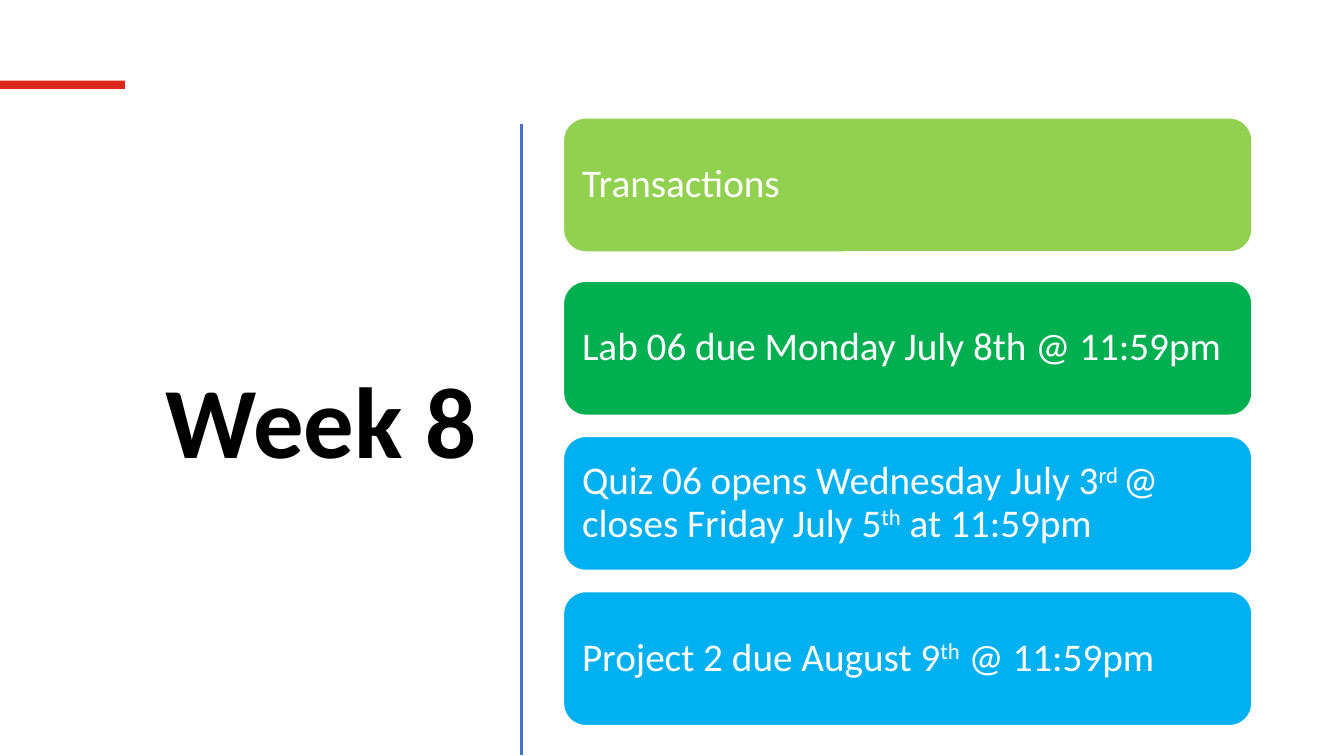
from dataclasses import dataclass

from lxml import etree
from pptx import Presentation
from pptx.dml.color import RGBColor
from pptx.enum import shapes, text
from pptx.oxml import ns
from pptx.util import Pt


@dataclass(frozen=True)
class Theme:
    font: str = "Calibri"
    title_size: int = 72
    item_size: int = 28
    ink: str = "000000"
    white: str = "FFFFFF"
    accent: str = "DA291C"
    divider: str = "4472C4"
    lime: str = "92D050"
    green: str = "00B050"
    blue: str = "00B0F0"


@dataclass(frozen=True)
class Box:
    left: float
    top: float
    width: float
    height: float

    def lengths(self):
        return [Pt(value) for value in (self.left, self.top, self.width, self.height)]


THEME = Theme()
AGENDA = [
    (THEME.lime, ["Transactions"]),
    (THEME.green, ["Lab 06 due Monday July 8th @ 11:59pm"]),
    (THEME.blue, ["Quiz 06 opens Wednesday July 3", "rd ", "@ closes Friday July 5", "th", " at 11:59pm"]),
    (THEME.blue, ["Project 2 due August 9", "th", " @ 11:59pm"]),
]
CARD_HEIGHT = 95.76
CARD_PITCH = 110.85
FIRST_CARD_LIFT = 5.8


def style_span(span, size, color, bold=False):
    span.font.name = THEME.font
    span.font.size = Pt(size)
    span.font.bold = bold
    span.font.color.rgb = RGBColor.from_string(color)


def add_panel(page, kind, box, fill):
    panel = page.shapes.add_shape(kind, *box.lengths())
    panel.shadow.inherit = False
    panel.fill.solid()
    panel.fill.fore_color.rgb = RGBColor.from_string(fill)
    panel.line.fill.background()
    return panel


def add_title(page, box, wording):
    frame = page.shapes.add_textbox(*box.lengths()).text_frame
    frame.word_wrap = True
    frame.vertical_anchor = text.MSO_ANCHOR.MIDDLE
    para = frame.paragraphs[0]
    para.text = wording
    para.alignment = text.PP_ALIGN.RIGHT
    para.line_spacing = 0.9
    para.space_after = Pt(6)
    style_span(para.runs[0], THEME.title_size, THEME.ink, bold=True)


def add_divider(page, box):
    line = page.shapes.add_connector(
        shapes.MSO_CONNECTOR.STRAIGHT,
        Pt(box.left), Pt(box.top), Pt(box.left + box.width), Pt(box.top + box.height),
    )
    line.line.color.rgb = RGBColor.from_string(THEME.divider)
    line.line.width = Pt(2)
    etree.SubElement(line._element.spPr, ns.qn("a:effectLst"))


def add_card(page, box, fill, pieces):
    card = add_panel(page, shapes.MSO_SHAPE.ROUNDED_RECTANGLE, box, fill)
    card.line.color.rgb = RGBColor.from_string(THEME.white)
    card.line.width = Pt(1)
    frame = card.text_frame
    frame.word_wrap = True
    frame.vertical_anchor = text.MSO_ANCHOR.MIDDLE
    frame.margin_left = frame.margin_right = Pt(8.64)
    frame.margin_top = frame.margin_bottom = Pt(8.64)
    para = frame.paragraphs[0]
    para.alignment = text.PP_ALIGN.LEFT
    para.line_spacing = 0.9
    for index, piece in enumerate(pieces):
        span = para.add_run()
        span.text = piece
        style_span(span, THEME.item_size, THEME.white)
        if index % 2:
            span._r.get_or_add_rPr().set("baseline", "30000")


def add_agenda(page, box):
    for index, (fill, pieces) in enumerate(AGENDA):
        lift = FIRST_CARD_LIFT if index == 0 else 0
        top = box.top + FIRST_CARD_LIFT + index * CARD_PITCH - lift
        add_card(page, Box(box.left, top, box.width, CARD_HEIGHT), fill, pieces)


def main():
    deck = Presentation()
    deck.slide_width, deck.slide_height = Pt(960), Pt(540)
    page = deck.slides.add_slide(deck.slide_layouts[6])
    add_title(page, Box(37.44, 84.24, 310.32, 439.92), "Week 8")
    add_divider(page, Box(372.24, 88.5, 0, 451))
    add_agenda(page, Box(402.48, 84.24, 491.76, 434.16))
    add_panel(page, shapes.MSO_SHAPE.RECTANGLE, Box(0, 57.6, 89.28, 6), THEME.accent)
    deck.save("out.pptx")


if __name__ == "__main__":
    main()
